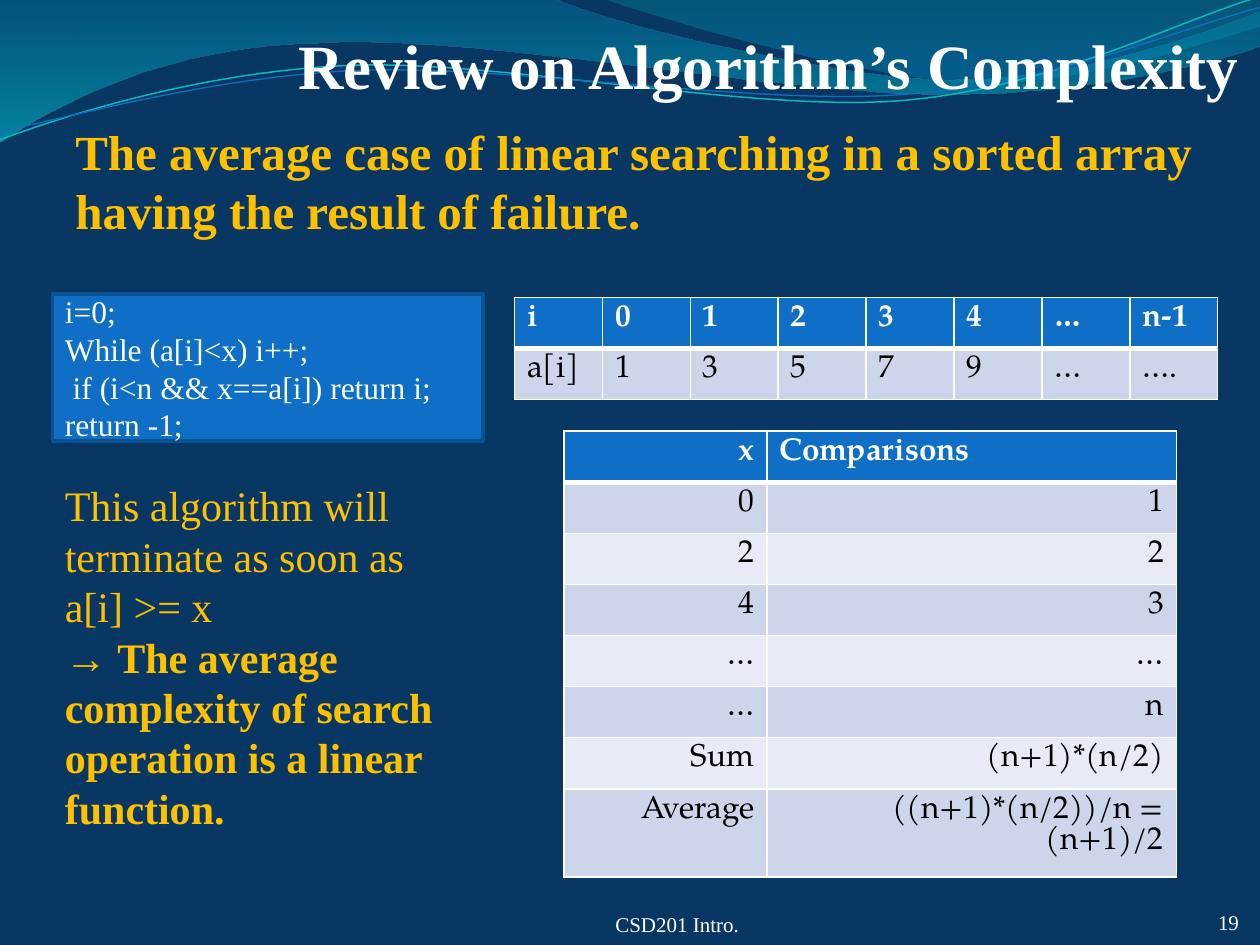
"""Builds a slide on the average complexity of linear search."""
import itertools
import math
from dataclasses import dataclass
from typing import Optional

import pptx
import pptx.dml.color
import pptx.enum.shapes
import pptx.enum.text
import pptx.oxml
import pptx.oxml.ns
import pptx.util
from pptx.util import Pt

COLOURS = {
    "navy": "083763", "blue": "0F6FC6", "edge": "0B5292", "gold": "FFC000",
    "white": "FFFFFF", "black": "000000", "band": "CCD5EA", "pale": "E7EBF5",
    "deep": "0074A1", "aqua": "00C6CF", "teal": "00A1A9", "sea": "008BBF",
    "cyan": "0AB8BF",
}
SERIF = "Times New Roman"
TABLE_FONT = "TeX Gyre Pagella"
ALIGN = pptx.enum.text.PP_ALIGN
ANCHOR = pptx.enum.text.MSO_ANCHOR
NAMESPACE = pptx.oxml.ns.nsdecls("a")
qn = pptx.oxml.ns.qn


@dataclass
class Stop:
    position: int
    colour: str
    alpha: int


@dataclass
class Wave:
    start: tuple
    segments: list
    stops: tuple = ()
    line: str = ""
    width: float = 0
    rotation: float = 0


@dataclass
class Span:
    text: str
    bold: bool = False


@dataclass
class Block:
    box: tuple
    paragraphs: list
    size: float
    colour: str = "white"
    align: Optional[ALIGN] = None
    anchor: ANCHOR = ANCHOR.TOP
    insets: tuple = (7.2, 3.6, 7.2, 3.6)
    fill: str = ""
    edge: str = ""


@dataclass
class Grid:
    left: float
    top: float
    columns: list
    rows: list
    header_align: list
    body_align: ALIGN


WAVES = [
    Wave((0, 0), [(316.8, -0.7), (342.7, 12.2, 478.1, 45.4, 545.8, 45.4),
                  (614.2, 45.4, 690, 18.7, 720, 6.5), (720.7, 25.9),
                  (707.8, 31.7, 626.4, 54.7, 537.1, 54), (447.8, 54, 275, 20.2, 185, 24.5),
                  (92.9, 25.9, 33.1, 59.8, -0.7, 81.4), (0, 0)],
         (Stop(0, "deep", 45), Stop(100, "aqua", 55))),
    Wave((344.9, -0.7), [(366.5, 7.9, 491, 44.6, 553.7, 46.8),
                         (616.3, 49.7, 691.9, 23, 720, 15.1), (720, 0), (344.9, -0.7)],
         (Stop(0, "teal", 30), Stop(80, "sea", 45))),
    Wave((0, 79.9), [(34.6, 67, 113.8, 41, 199.4, 37.4), (284.4, 33.8, 427, 64.1, 513.4, 57.6),
                     (599.8, 51.1, 675.4, 10.8, 718.6, -1.4)],
         line="cyan", width=0.85, rotation=357.3),
    Wave((0, 74.9), [(33.8, 69.1, 118.1, 43.9, 203.8, 40.3), (290.2, 36.7, 429.8, 60.5, 516.2, 54),
                     (601.9, 48.2, 677.5, 15.1, 720, 4.3)],
         line="blue", width=0.75, rotation=357.3),
]
HEADINGS = [
    Block((36, 5.8, 672, 52.6), [[Span("Review on Algorithm’s Complexity", True)]], 36,
          align=ALIGN.RIGHT, anchor=ANCHOR.BOTTOM, insets=(0, 3.6, 0, 0)),
    Block((210, 516, 354, 19.3), [[Span("CSD201 Intro.")]], 12,
          align=ALIGN.CENTER, anchor=ANCHOR.BOTTOM, insets=(0, 0, 0, 0)),
    Block((666, 516, 42, 18), [[Span("19")]], 12,
          align=ALIGN.RIGHT, anchor=ANCHOR.BOTTOM, insets=(0, 0, 0, 0)),
    Block((36, 66, 672, 75), [[Span("The average case of linear searching in a sorted array "
                                    "having the result of failure.", True)]], 28, "gold"),
]
PANELS = [
    Block((30, 168, 246, 84), [[Span("i=0;")], [Span("While (a[i]<x) i++;")],
                               [Span(" if (i<n && x==a[i]) return i;")], [Span("return -1;")]],
          18, align=ALIGN.LEFT, anchor=ANCHOR.MIDDLE, fill="blue", edge="edge"),
    Block((30, 264, 246, 222), [[Span("This algorithm will terminate as soon as")],
                                [Span("a[i] >= x")],
                                [Span("→ "), Span("The average complexity of search operation "
                                                  "is a linear function.", True)]],
          24, "gold", ALIGN.LEFT, ANCHOR.MIDDLE, fill="navy"),
]
GRIDS = [
    Grid(294, 170, [50.25] * 8, [["i", "0", "1", "2", "3", "4", "…", "n-1"],
                                 ["a[i]", "1", "3", "5", "7", "9", "…", "…."]],
         [ALIGN.LEFT] * 8, ALIGN.LEFT),
    Grid(322.2, 246.4, [116, 234], [["x", "Comparisons"], ["0", "1"], ["2", "2"], ["4", "3"],
                                    ["…", "…"], ["…", "n"], ["Sum", "(n+1)*(n/2)"],
                                    ["Average", "((n+1)*(n/2))/n = (n+1)/2"]],
         [ALIGN.RIGHT, ALIGN.LEFT], ALIGN.RIGHT),
]


def rgb(name: str) -> pptx.dml.color.RGBColor:
    """Return the named colour."""
    return pptx.dml.color.RGBColor.from_string(COLOURS[name])


def turn(points: list, degrees: float) -> list:
    """Rotate points about the middle of their bounds."""
    x_mid, y_mid = ((min(v) + max(v)) / 2 for v in zip(*points))
    cos, sin = math.cos(math.radians(degrees)), math.sin(math.radians(degrees))
    return [(x_mid + (x - x_mid) * cos - (y - y_mid) * sin,
             y_mid + (x - x_mid) * sin + (y - y_mid) * cos) for x, y in points]


def bend(shape, segments: list) -> None:
    """Join each run of three outline edges into one Bézier curve."""
    outline = shape._element.find(".//" + qn("a:path"))
    edges = iter(outline.findall(qn("a:lnTo")))
    for segment in segments:
        group = list(itertools.islice(edges, len(segment) // 2))
        if len(group) == 3:
            curve = pptx.oxml.parse_xml(f"<a:cubicBezTo {NAMESPACE}/>")
            group[0].addprevious(curve)
            for edge in group:
                curve.append(edge[0])
                outline.remove(edge)


def draw_wave(slide, wave: Wave) -> None:
    """Draw a gradient wave or a thin curved line."""
    points = [wave.start]
    for segment in wave.segments:
        points += zip(segment[::2], segment[1::2])
    points = [(x * 100, y * 100) for x, y in turn(points, -wave.rotation)]
    builder = slide.shapes.build_freeform(*points[0], scale=Pt(0.01))
    builder.add_line_segments(points[1:], close=bool(wave.stops))
    shape = builder.convert_to_shape()
    bend(shape, wave.segments)
    shape.shadow.inherit = False
    shape.rotation = wave.rotation
    shape.fill.background()
    if wave.line:
        shape.line.color.rgb = rgb(wave.line)
        shape.line.width = Pt(wave.width)
        return
    shape.line.fill.background()
    stops = "".join(f'<a:gs pos="{s.position * 1000}"><a:srgbClr val="{COLOURS[s.colour]}">'
                    f'<a:alpha val="{s.alpha * 1000}"/></a:srgbClr></a:gs>' for s in wave.stops)
    properties = shape._element.spPr
    properties.replace(properties.find(qn("a:noFill")), pptx.oxml.parse_xml(
        f'<a:gradFill {NAMESPACE}><a:gsLst>{stops}</a:gsLst>'
        '<a:lin ang="5400000" scaled="0"/></a:gradFill>'))


def add_span(paragraph, span: Span, size: float, face: str, colour: str) -> None:
    """Append one formatted run."""
    run = paragraph.add_run()
    run.text = span.text
    run.font.size, run.font.name, run.font.bold = Pt(size), face, span.bold
    run.font.color.rgb = rgb(colour)


def draw_block(slide, block: Block) -> None:
    """Draw a text box, or a rectangle when the block is filled."""
    box = [Pt(value) for value in block.box]
    if block.fill:
        shape = slide.shapes.add_shape(pptx.enum.shapes.MSO_SHAPE.RECTANGLE, *box)
        shape.shadow.inherit = False
        shape.fill.solid()
        shape.fill.fore_color.rgb = rgb(block.fill)
        if block.edge:
            shape.line.color.rgb = rgb(block.edge)
            shape.line.width = Pt(2)
        else:
            shape.line.fill.background()
    else:
        shape = slide.shapes.add_textbox(*box)
    frame = shape.text_frame
    frame.word_wrap = True
    frame.vertical_anchor = block.anchor
    (frame.margin_left, frame.margin_top,
     frame.margin_right, frame.margin_bottom) = [Pt(value) for value in block.insets]
    for index, spans in enumerate(block.paragraphs):
        paragraph = frame.add_paragraph() if index else frame.paragraphs[0]
        paragraph.alignment = block.align
        for span in spans:
            add_span(paragraph, span, block.size, SERIF, block.colour)


def draw_grid(slide, grid: Grid) -> None:
    """Draw a table with a blue header and banded rows."""
    row_height = 29.2
    table = slide.shapes.add_table(
        len(grid.rows), len(grid.columns), Pt(grid.left), Pt(grid.top),
        Pt(sum(grid.columns)), Pt(row_height * len(grid.rows))).table
    for column, width in zip(table.columns, grid.columns):
        column.width = Pt(width)
    for r, texts in enumerate(grid.rows):
        table.rows[r].height = Pt(row_height)
        borders = {"L": 1, "R": 1, "T": 3 if r == 1 else 1, "B": 1 if r else 3}
        for c, text in enumerate(texts):
            cell = table.cell(r, c)
            for side, width in borders.items():
                cell._tc.get_or_add_tcPr().append(pptx.oxml.parse_xml(
                    f'<a:ln{side} {NAMESPACE} w="{Pt(width)}"><a:solidFill><a:srgbClr '
                    f'val="{COLOURS["white"]}"/></a:solidFill></a:ln{side}>'))
            cell.fill.solid()
            cell.fill.fore_color.rgb = rgb(("band" if r % 2 else "pale") if r else "blue")
            paragraph = cell.text_frame.paragraphs[0]
            paragraph.alignment = grid.body_align if r else grid.header_align[c]
            add_span(paragraph, Span(text, r == 0), 18, TABLE_FONT, "black" if r else "white")


def main() -> None:
    """Build and save the presentation."""
    deck = pptx.Presentation()
    deck.slide_width, deck.slide_height = Pt(720), Pt(540)
    slide = deck.slides.add_slide(deck.slide_layouts[6])
    slide.background.fill.solid()
    slide.background.fill.fore_color.rgb = rgb("navy")
    for draw, items in ((draw_wave, WAVES), (draw_block, HEADINGS),
                        (draw_grid, GRIDS), (draw_block, PANELS)):
        for item in items:
            draw(slide, item)
    deck.save("out.pptx")


if __name__ == "__main__":
    main()
